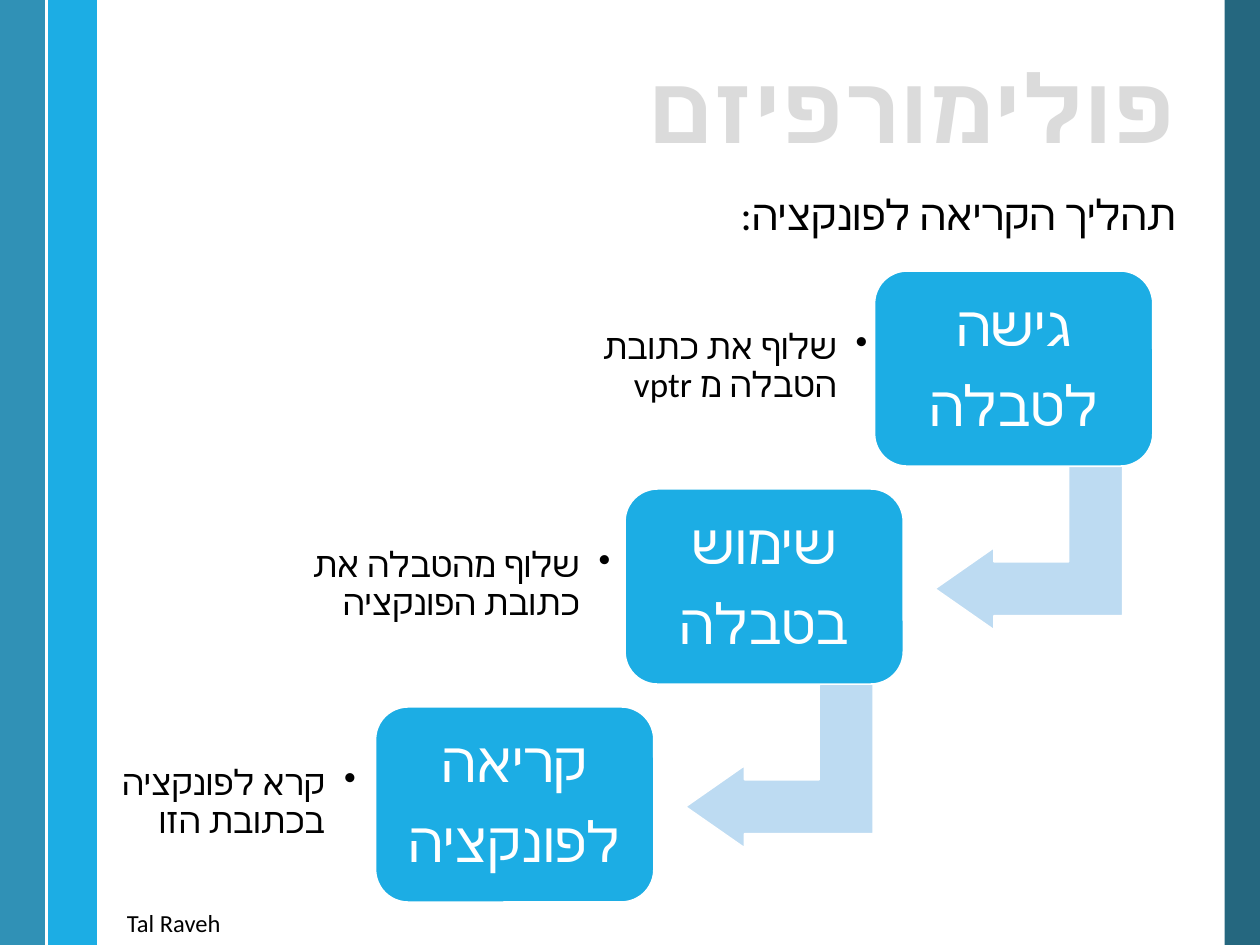
import pptx
import pptx.dml.color
import pptx.enum.shapes
import pptx.enum.text
import pptx.oxml.ns
import pptx.oxml.xmlchemy
import pptx.util
from lxml import etree
from pptx.util import Inches

RGBColor = pptx.dml.color.RGBColor
ALIGN = pptx.enum.text.PP_ALIGN
ANCHOR = pptx.enum.text.MSO_ANCHOR
SHAPE = pptx.enum.shapes.MSO_SHAPE
qn = pptx.oxml.ns.qn

WHITE = RGBColor(0xFF, 0xFF, 0xFF)
BLACK = RGBColor(0, 0, 0)
BLUE = RGBColor(0x1C, 0xAD, 0xE4)
MID_BLUE = RGBColor(0x14, 0x82, 0xAC)
DARK_BLUE = RGBColor(0x0E, 0x57, 0x72)
PALE_BLUE = RGBColor(0xBD, 0xDB, 0xF2)
PALE_GRAY = RGBColor(0xDB, 0xDB, 0xDB)

FONT = "Calibri"
FIRST_LEFT, FIRST_TOP = 6.94, 2.15
STEP_LEFT, STEP_DOWN = 1.98, 1.73

STEPS = [
    (["גישה", "לטבלה"], "שלוף את כתובת הטבלה מ vptr", 4.69, 2.28),
    (["שימוש", "בטבלה"], "שלוף מהטבלה את כתובת הפונקציה", 2.23, 2.7),
    (["קריאה", "לפונקציה"], "קרא לפונקציה בכתובת הזו", 0.78, 2.13),
]


def apply_format(target, values):
    for name, value in values.items():
        setattr(target, name, value)


def format_frame(frame, margin_x, margin_y, anchor):
    apply_format(frame, {
        "word_wrap": True,
        "auto_size": pptx.enum.text.MSO_AUTO_SIZE.NONE,
        "vertical_anchor": anchor,
        "margin_left": Inches(margin_x),
        "margin_right": Inches(margin_x),
        "margin_top": Inches(margin_y),
        "margin_bottom": Inches(margin_y),
    })


def write_lines(frame, lines, size, color, align=ALIGN.RIGHT, after=0,
                bold=False, bullet=False, rtl=True):
    for index, line in enumerate(lines):
        paragraph = frame.paragraphs[0] if index == 0 else frame.add_paragraph()
        properties = paragraph._p.get_or_add_pPr()
        indent = Inches(0.25) if bullet else 0
        properties.set("marL", str(indent))
        properties.set("indent", str(-indent))
        properties.set("rtl", "1" if rtl else "0")
        if bullet:
            paragraph.level = 1
            etree.SubElement(properties, qn("a:buChar")).set("char", "•")
        else:
            etree.SubElement(properties, qn("a:buNone"))
        apply_format(paragraph, {
            "alignment": align,
            "line_spacing": 0.9 if rtl else 1.0,
            "space_before": pptx.util.Pt(0),
            "space_after": pptx.util.Pt(after),
        })
        run = paragraph.add_run()
        run.text = line
        apply_format(run.font, {"name": FONT, "size": pptx.util.Pt(size), "bold": bold})
        run.font.color.rgb = color
        complex_script = etree.SubElement(run._r.get_or_add_rPr(), qn("a:cs"))
        complex_script.set("typeface", FONT)


def add_filled_shape(slide, kind, left, top, width, height, fill, line=None, alpha=None):
    shape = slide.shapes.add_shape(
        kind, Inches(left), Inches(top), Inches(width), Inches(height))
    shape.shadow.inherit = False
    shape.fill.solid()
    shape.fill.fore_color.rgb = fill
    if alpha is not None:
        color = shape._element.spPr.find(qn("a:solidFill"))[0]
        etree.SubElement(color, qn("a:alpha")).set("val", str(alpha * 1000))
    if line is None:
        shape.line.fill.background()
    else:
        shape.line.color.rgb = line
        shape.line.width = pptx.util.Pt(1)
    return shape


def add_side_bands(slide):
    for left, width, color, alpha in [
        (9.72, 0.28, DARK_BLUE, 90),
        (0.37, 0.4, BLUE, None),
        (0, 0.37, MID_BLUE, 88),
    ]:
        add_filled_shape(slide, SHAPE.RECTANGLE, left, 0, width, 7.5, color, alpha=alpha)
    divider = slide.shapes.add_connector(
        pptx.enum.shapes.MSO_CONNECTOR.STRAIGHT,
        Inches(0.37), 0, Inches(0.37), Inches(7.5))
    divider.line.color.rgb = WHITE
    divider.line.width = pptx.util.Pt(1.5)
    etree.SubElement(divider._element.spPr, qn("a:effectLst"))


def fill_placeholder(shape, top, height, text, size, color, margin_y, anchor, bold=False):
    apply_format(shape, {
        "left": Inches(0.96), "top": Inches(top),
        "width": Inches(8.47), "height": Inches(height),
    })
    format_frame(shape.text_frame, 0.1, margin_y, anchor)
    write_lines(shape.text_frame, [text], size, color, bold=bold)


def add_text_box(slide, left, top, width, height, margin_x, margin_y, anchor):
    box = slide.shapes.add_textbox(
        Inches(left), Inches(top), Inches(width), Inches(height))
    format_frame(box.text_frame, margin_x, margin_y, anchor)
    return box.text_frame


def add_turn_arrow(slide, left, top):
    arrow = add_filled_shape(
        slide, SHAPE.BENT_ARROW, left, top, 1.49, 1.31, PALE_BLUE, WHITE)
    arrow.rotation = 180
    for index, value in enumerate([0.328, 0.25, 0.358, 0]):
        arrow.adjustments[index] = value


def add_step(slide, index, lines, detail, detail_left, detail_width):
    left = FIRST_LEFT - index * STEP_LEFT
    top = FIRST_TOP + index * STEP_DOWN
    if index < len(STEPS) - 1:
        add_turn_arrow(slide, left + 0.48, top + 1.54)
    box = add_filled_shape(
        slide, SHAPE.ROUNDED_RECTANGLE, left, top, 2.21, 1.55, BLUE, WHITE)
    box.adjustments[0] = 0.167
    format_frame(box.text_frame, 0.13, 0.13, ANCHOR.MIDDLE)
    write_lines(box.text_frame, lines, 32, WHITE, align=ALIGN.CENTER, after=11)
    frame = add_text_box(
        slide, detail_left, top + 0.14, detail_width, 1.25, 0.08, 0.08, ANCHOR.MIDDLE)
    write_lines(frame, [detail], 20, BLACK, after=3, bullet=True)


def main():
    presentation = pptx.Presentation()
    presentation.slide_width = Inches(10)
    presentation.slide_height = Inches(7.5)
    slide = presentation.slides.add_slide(presentation.slide_layouts[1])
    add_side_bands(slide)
    fill_placeholder(slide.shapes.title, 0.5, 0.79, "פולימורפיזם",
                     54, PALE_GRAY, 0, ANCHOR.MIDDLE, bold=True)
    fill_placeholder(slide.placeholders[1], 1.49, 5.71, "תהליך הקריאה לפונקציה:",
                     24, BLACK, 0.05, ANCHOR.TOP)
    for index, step in enumerate(STEPS):
        add_step(slide, index, *step)
    author = add_text_box(slide, 0.88, 7.16, 0.97, 0.34, 0.1, 0.05, ANCHOR.TOP)
    write_lines(author, ["Tal Raveh"], 14, BLACK, rtl=False)
    presentation.save("out.pptx")


if __name__ == "__main__":
    main()
